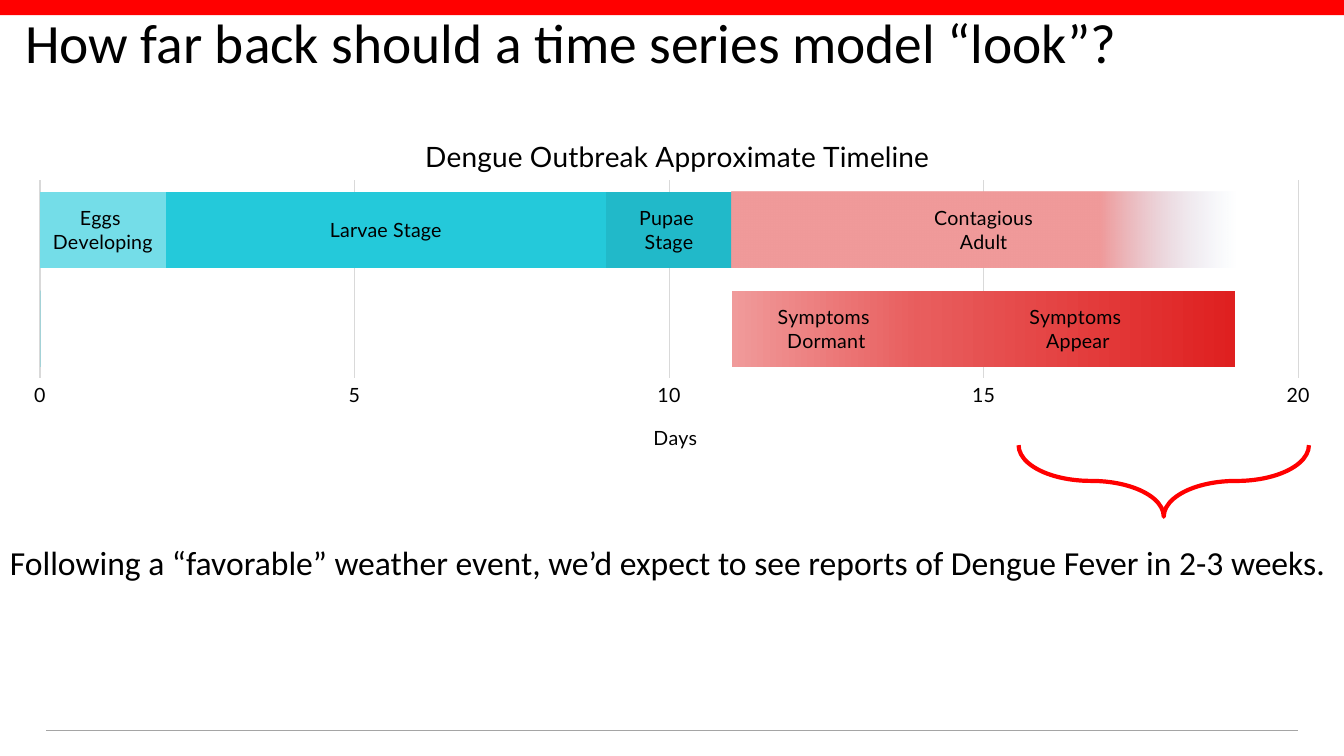
from lxml import etree
from pptx import Presentation, util as u
from pptx.chart import data
from pptx.dml.color import RGBColor
from pptx.enum import chart as ch, shapes, text
from pptx.oxml import parse_xml
from pptx.oxml.ns import nsdecls, qn

HUES = {
    "ink": "000000", "red": "FF0000", "rule": "A5A5A5", "grid": "D9D9D9",
    "egg": "74DDE8", "larva": "24C9DA", "pupa": "21B9C9",
    "rose": "F09A9A", "fade": "C7D5ED", "coral": "E85D5D", "crimson": "DF2020",
}

# name, days in the (symptom, mosquito) rows, gradient stops or a single hue
STAGES = [
    ("Eggs \nDeveloping", (0, 2), "egg"),
    ("Larvae Stage", (0, 7), "larva"),
    ("Pupae \nStage", (0, 2), "pupa"),
    ("Contagious Adult", (0, 8), [(0.73, "rose"), (1, "fade")]),
    ("Series 5", (11, 0), None),
    ("Symptoms \nDormant", (3, 0), [(0, "rose"), (1, "coral")]),
    ("Symptoms \nAppear", (5, 0), [(0, "coral"), (1, "crimson")]),
]


def hue(name):
    return RGBColor.from_string(HUES[name])


def put(item, **vals):
    for key, val in vals.items():
        setattr(item, key, val)


def place(node, **spots):
    """Pin a chart element at fractions of the chart's size."""
    lay = node.find(qn("c:layout"))
    if lay is None:
        lay = etree.Element(qn("c:layout"))
        node.insert(0, lay)
    man = etree.SubElement(lay, qn("c:manualLayout"))
    if "w" in spots:
        etree.SubElement(man, qn("c:layoutTarget")).set("val", "inner")
    for key in ("x", "y"):
        etree.SubElement(man, qn(f"c:{key}Mode")).set("val", "edge")
    for key, val in spots.items():
        etree.SubElement(man, qn(f"c:{key}")).set("val", str(val))


class Deck:
    def __init__(self):
        self.prs = Presentation()
        put(self.prs, slide_width=u.Pt(960), slide_height=u.Pt(540))
        self.slide = self.prs.slides.add_slide(self.prs.slide_layouts[6])
        self.forms = self.slide.shapes
        self.face = "Calibri"
        self.label = "Lato"

    def font(self, font, size, face):
        put(font, size=u.Pt(size), name=face, bold=False)
        font.color.rgb = hue("ink")

    def rule(self, x1, x2, y):
        line = self.forms.add_connector(
            shapes.MSO_CONNECTOR.STRAIGHT, u.Pt(x1), u.Pt(y), u.Pt(x2), u.Pt(y))
        line.line.color.rgb = hue("rule")
        line.line.width = u.Pt(0.5)
        line._element.spPr.append(parse_xml(f"<a:effectLst {nsdecls('a')}/>"))

    def shape(self, kind, box):
        item = self.forms.add_shape(kind, *map(u.Pt, box))
        item.shadow.inherit = False
        return item

    def band(self, box):
        item = self.shape(shapes.MSO_SHAPE.RECTANGLE, box)
        item.fill.solid()
        item.fill.fore_color.rgb = hue("red")
        item.line.fill.background()

    def brace(self, box):
        item = self.shape(shapes.MSO_SHAPE.RIGHT_BRACE, box)
        item.rotation = 90
        item.adjustments[0] = 1.01
        item.adjustments[1] = 0.5
        item.fill.background()
        item.line.color.rgb = hue("red")
        item.line.width = u.Pt(3)

    def text(self, words, box, size, anchor):
        frame = self.forms.add_textbox(*map(u.Pt, box)).text_frame
        put(frame, word_wrap=True, vertical_anchor=anchor)
        para = frame.paragraphs[0]
        para.line_spacing = 0.9
        run = para.add_run()
        run.text = words
        self.font(run.font, size, self.face)

    def head(self, title, words, size, x, y):
        """Write a chart or axis title."""
        para = title.text_frame.paragraphs[0]
        run = para.add_run()
        run.text = words
        self.font(run.font, size, self.label)
        place(title._element, x=x, y=y)

    def paint(self, ser, tone):
        fill = ser.format.fill
        if tone is None:
            fill.background()
        elif isinstance(tone, str):
            fill.solid()
            fill.fore_color.rgb = hue(tone)
        else:
            fill.gradient()
            fill.gradient_angle = 0
            for stop, (spot, name) in zip(fill.gradient_stops, tone):
                stop.position = spot
                stop.color.rgb = hue(name)
            for node in ser._element.iter(qn("a:srgbClr")):
                if node.get("val") == HUES["fade"]:
                    etree.SubElement(node, qn("a:alpha")).set("val", "0")

    def tag(self, ser, days):
        """Label a bar with its series name, leaving out empty bars."""
        tags = ser.data_labels
        put(tags, show_series_name=True, show_value=False)
        self.font(tags.font, 14, self.label)
        tags._element.insert(0, parse_xml(
            f'<c:dLbl {nsdecls("c")}><c:idx val="{days.index(0)}"/>'
            '<c:delete val="1"/></c:dLbl>'))

    def chart(self, box):
        info = data.CategoryChartData()
        info.categories = ["1", "2"]
        for name, days, _ in STAGES:
            info.add_series(name, days)
        chart = self.forms.add_chart(
            ch.XL_CHART_TYPE.BAR_STACKED, *map(u.Pt, box), info).chart
        put(chart, has_legend=False, has_title=True)
        self.font(chart.font, 14, self.label)
        self.head(chart.chart_title, "Dengue Outbreak Approximate Timeline",
                  20, 0.31, 0.06)
        plot = chart.plots[0]
        put(plot, gap_width=30, overlap=100, vary_by_categories=False)
        place(chart._chartSpace.chart.plotArea, x=0.024, y=0.2, w=0.947, h=0.555)
        for ser, (_, days, tone) in zip(plot.series, STAGES):
            ser.invert_if_negative = False
            self.paint(ser, tone)
            if tone:
                self.tag(ser, days)
        chart.category_axis.visible = False
        axis = chart.value_axis
        put(axis, minimum_scale=0, maximum_scale=20, major_unit=5,
            major_tick_mark=ch.XL_TICK_MARK.NONE, has_major_gridlines=True,
            has_title=True)
        axis.format.line.fill.background()
        self.font(axis.tick_labels.font, 14, self.label)
        grid = axis.major_gridlines.format.line
        grid.color.rgb = hue("grid")
        grid.width = u.Pt(0.75)
        self.head(axis.axis_title, "Days", 14, 0.483, 0.87)


def main():
    deck = Deck()
    deck.rule(33, 927.4, 522)
    deck.band((0, 0, 960, 10.8))
    deck.text("How far back should a time series model “look”?",
              (10.8, 10.8, 938, 43), 39.6, text.MSO_ANCHOR.MIDDLE)
    deck.text("Following a “favorable” weather event, we’d expect to see "
              "reports of Dengue Fever in 2-3 weeks.",
              (0, 386.6, 960, 43), 24, text.MSO_ANCHOR.TOP)
    deck.chart((5.8, 77.8, 949, 254.9))
    deck.brace((805.7, 239.8, 51.1, 207.4))
    deck.prs.save("out.pptx")


if __name__ == "__main__":
    main()
